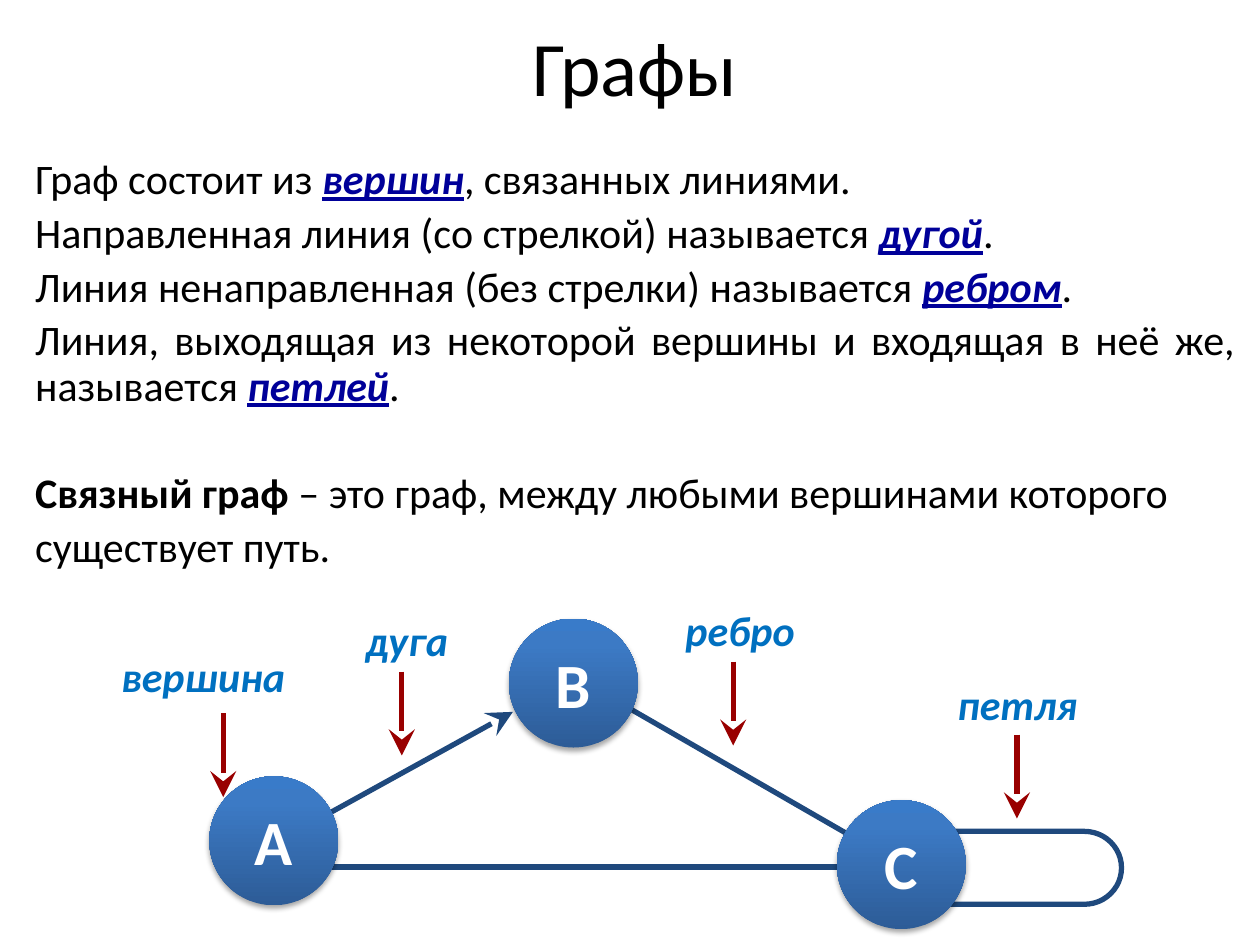
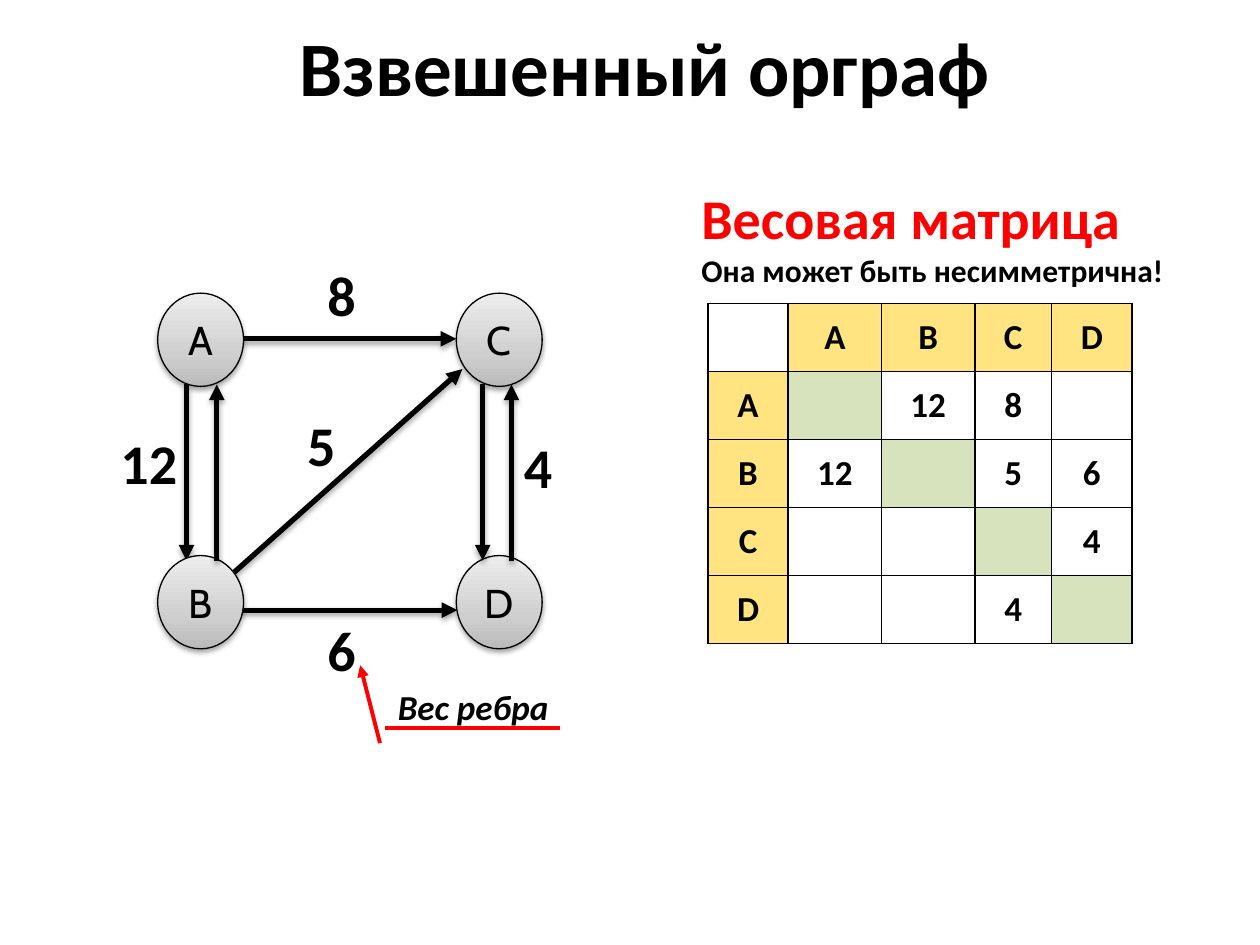
from itertools import product
from typing import NamedTuple

from lxml.etree import SubElement
from pptx import Presentation
from pptx.dml.color import RGBColor
from pptx.enum.shapes import MSO_CONNECTOR, MSO_SHAPE
from pptx.enum.text import MSO_ANCHOR, PP_ALIGN
from pptx.oxml.ns import qn
from pptx.util import Cm, Pt

BLACK, WHITE, RED = "000000", "FFFFFF", "FF0000"
NAVY, TERM_BLUE, LABEL_BLUE, DARK_RED = "1F497D", "000099", "0070C0", "990000"
HEADER_YELLOW, DIAGONAL_GREEN = "FFE481", "D6E3BC"
FONT = "Calibri"


class TextStyle(NamedTuple):
    size: float
    color: str = BLACK
    bold: bool = False
    italic: bool = False
    name: str = FONT


class Box(NamedTuple):
    left: float
    top: float
    width: float
    height: float


class Line(NamedTuple):
    x1: float
    y1: float
    x2: float
    y2: float


class Stroke(NamedTuple):
    color: str
    width: float = 3
    head: str = ""
    head_size: str = "med"
    shadow: bool = False


class NodeStyle(NamedTuple):
    width: float
    height: float
    stops: tuple
    text: TextStyle
    outline: str = ""


class Definition(NamedTuple):
    lead: str
    term: str
    tail: str


class Callout(NamedTuple):
    text: str
    left: float
    top: float
    width: float
    arrow_x: float
    arrow_top: float


LABEL = TextStyle(24, LABEL_BLUE, bold=True, italic=True)
WEIGHT = TextStyle(32, bold=True)
CELL = TextStyle(20, bold=True)
BLUE_NODE = NodeStyle(2.6, 2.6, ((0, "2D5C97"), (80, "3C7AC5"), (100, "397BC9")),
                      TextStyle(36, WHITE, bold=True))
GREY_NODE = NodeStyle(1.73, 1.88, ((0, "BABABA"), (35, "CFCFCF"), (100, "EDEDED")),
                      TextStyle(23, name="Cabin"), BLACK)

EDGE = Stroke(NAVY)
ARC = Stroke(NAVY, head="stealth", head_size="lg")
POINTER = Stroke(DARK_RED, head="stealth", head_size="lg")
WEIGHTED_ARC = Stroke(BLACK, head="triangle", shadow=True)
POINTER_LENGTH = 1.69

DEFINITIONS = [
    Definition("Граф состоит из ", "вершин", ", связанных линиями."),
    Definition("Направленная линия (со стрелкой) называется ", "дугой", "."),
    Definition("Линия ненаправленная (без стрелки) называется ", "ребром", "."),
    Definition("Линия, выходящая из некоторой вершины и входящая в неё же, называется ",
               "петлей", "."),
]
CALLOUTS = [
    Callout("петля", 18.39, 13.56, 4.24, 20.5, 14.81),
    Callout("ребро", 12.8, 12.07, 4.24, 14.78, 13.34),
    Callout("дуга", 6.3, 12.27, 3.81, 8.1, 13.54),
    Callout("вершина", 1.9, 12.98, 4.39, 4.5, 14.38),
]
MATRIX_NAMES = "ABCD"
MATRIX = {"AB": 12, "AC": 8, "BA": 12, "BC": 5, "BD": 6, "CD": 4, "DC": 4}


def rgb(color: str) -> RGBColor:
    return RGBColor.from_string(color)


def lengths(values: tuple) -> list:
    return [Cm(value) for value in values]


def style_font(font, style: TextStyle) -> None:
    font.name, font.size = style.name, Pt(style.size)
    font.bold, font.italic = style.bold, style.italic
    font.color.rgb = rgb(style.color)


def write(paragraph, text: str, style: TextStyle, align=PP_ALIGN.LEFT) -> None:
    paragraph.alignment = align
    style_font(paragraph.font, style)
    if text:
        paragraph.add_run().text = text


def add_text_frame(slide, box: Box, anchor=MSO_ANCHOR.TOP):
    frame = slide.shapes.add_textbox(*lengths(box)).text_frame
    frame.word_wrap = True
    frame.vertical_anchor = anchor
    return frame


def add_text(slide, box: Box, text: str, style: TextStyle, align=PP_ALIGN.LEFT) -> None:
    write(add_text_frame(slide, box).paragraphs[0], text, style, align)


def add_title(slide, text: str, center: float, bold: bool = False) -> None:
    width = 22.8
    frame = add_text_frame(slide, Box(center - width / 2, 0.24, width, 2.18), MSO_ANCHOR.MIDDLE)
    write(frame.paragraphs[0], text, TextStyle(44, bold=bold), PP_ALIGN.CENTER)


def add_soft_shadow(effects) -> None:
    """Fill an effect list with a soft shadow that falls straight down."""
    shadow = SubElement(effects, qn("a:outerShdw"), blurRad=str(Pt(3.1)), dist=str(Pt(1.8)),
                        dir="5400000", rotWithShape="0")
    color = SubElement(shadow, qn("a:srgbClr"), val=BLACK)
    SubElement(color, qn("a:alpha"), val="35000")


def add_line(slide, line: Line, stroke: Stroke) -> None:
    connector = slide.shapes.add_connector(MSO_CONNECTOR.STRAIGHT, *lengths(line))
    connector.line.color.rgb = rgb(stroke.color)
    connector.line.width = Pt(stroke.width)
    properties = connector.element.spPr
    if stroke.head:
        SubElement(properties.find(qn("a:ln")), qn("a:tailEnd"), type=stroke.head,
                   w=stroke.head_size, len=stroke.head_size)
    effects = SubElement(properties, qn("a:effectLst"))
    if stroke.shadow:
        add_soft_shadow(effects)


def add_node(slide, name: str, left: float, top: float, style: NodeStyle) -> None:
    shape = slide.shapes.add_shape(
        MSO_SHAPE.OVAL, *lengths((left, top, style.width, style.height)))
    shape.fill.gradient()
    shape.fill.gradient_angle = 90
    properties = shape.element.spPr
    stops = properties.find(qn("a:gradFill")).find(qn("a:gsLst"))
    stops.clear()
    for position, color in style.stops:
        stop = SubElement(stops, qn("a:gs"), pos=str(position * 1000))
        SubElement(stop, qn("a:srgbClr"), val=color)
    if style.outline:
        shape.line.color.rgb = rgb(style.outline)
        shape.line.width = Pt(0.75)
    else:
        shape.line.fill.background()
    shape.shadow.inherit = False
    add_soft_shadow(properties.find(qn("a:effectLst")))
    shape.text_frame.vertical_anchor = MSO_ANCHOR.MIDDLE
    write(shape.text_frame.paragraphs[0], name, style.text, PP_ALIGN.CENTER)


def add_definitions(slide) -> None:
    frame = add_text_frame(slide, Box(0.46, 3.07, 24.69, 7.44))
    body = TextStyle(24)

    def next_paragraph(text: str, space_before: float = 4.8):
        first = not frame.paragraphs[0].runs
        paragraph = frame.paragraphs[0] if first else frame.add_paragraph()
        paragraph.line_spacing = 0.9
        if not first:
            paragraph.space_before = Pt(space_before)
        write(paragraph, text, body, PP_ALIGN.JUSTIFY)
        return paragraph

    for definition in DEFINITIONS:
        paragraph = next_paragraph(definition.lead)
        term = paragraph.add_run()
        term.text = definition.term
        style_font(term.font, TextStyle(24, TERM_BLUE, bold=True, italic=True))
        term.font.underline = True
        paragraph.add_run().text = definition.tail
    connected = next_paragraph("Связный граф ", space_before=35.4)
    connected.runs[0].font.bold = True
    connected.add_run().text = "– это граф, между любыми вершинами которого"
    next_paragraph("существует путь.")


def add_loop(slide) -> None:
    loop = slide.shapes.add_shape(MSO_SHAPE.FLOWCHART_TERMINATOR,
                                  *lengths((17.96, 16.76, 4.65, 1.47)))
    loop.fill.background()
    loop.line.color.rgb = rgb(NAVY)
    loop.line.width = Pt(3)
    loop.shadow.inherit = False


def build_graph_slide(slide) -> None:
    add_title(slide, "Графы", 12.8)
    add_definitions(slide)
    add_loop(slide)
    add_line(slide, Line(12.67, 14.27, 17.48, 17.04), EDGE)
    add_line(slide, Line(6.07, 17.48, 17.07, 17.48), EDGE)
    add_line(slide, Line(6.48, 16.48, 10.34, 14.35), ARC)
    for name, left, top in (("А", 4.22, 15.65), ("В", 10.26, 12.47), ("С", 16.87, 16.13)):
        add_node(slide, name, left, top, BLUE_NODE)
    for callout in CALLOUTS:
        add_text(slide, Box(callout.left, callout.top, callout.width, 1.28),
                 callout.text, LABEL, PP_ALIGN.CENTER)
        x, top = callout.arrow_x, callout.arrow_top
        add_line(slide, Line(x, top, x, top + POINTER_LENGTH), POINTER)


def add_weighted_graph(slide) -> None:
    upper, lower = 7.75, 11.3
    for line in (Line(3.96, 12.3, 9.22, 12.3), Line(3.94, 6.83, 9.2, 6.83),
                 Line(3.76, upper, 3.76, lower), Line(4.01, 12.17, 9.32, 7.44)):
        add_line(slide, line, WEIGHTED_ARC)
    for name, (left, top) in zip(MATRIX_NAMES, product((3.18, 9.2), (5.91, 11.2))):
        add_node(slide, name, left, top, GREY_NODE)
    for line in (Line(4.37, lower, 4.37, upper), Line(9.73, upper, 9.73, lower),
                 Line(10.31, lower, 10.31, upper)):
        add_line(slide, line, WEIGHTED_ARC)
    for weight, left, top in (("12", 2.18, 8.51), ("8", 6.35, 5.13), ("4", 10.31, 8.59),
                              ("6", 6.35, 12.29), ("5", 5.94, 8.15)):
        add_text(slide, Box(left, top, 1.8, 1.63), weight, WEIGHT)


def style_cell(cell, text: str, fill: str) -> None:
    cell.vertical_anchor = MSO_ANCHOR.MIDDLE
    cell.margin_left = cell.margin_right = Cm(0.18)
    cell.margin_top = cell.margin_bottom = 0
    write(cell.text_frame.paragraphs[0], text, CELL, PP_ALIGN.CENTER)
    properties = cell._tc.get_or_add_tcPr()
    for side in ("lnL", "lnR", "lnT", "lnB"):
        border = SubElement(properties, qn(f"a:{side}"), w=str(Pt(1)))
        SubElement(SubElement(border, qn("a:solidFill")), qn("a:srgbClr"), val=BLACK)
    cell.fill.solid()
    cell.fill.fore_color.rgb = rgb(fill)


def add_weight_matrix(slide) -> None:
    column_widths = (1.62, 1.88, 1.88, 1.55, 1.62)
    row_height, count = 1.37, len(column_widths)
    table = slide.shapes.add_table(
        count, count, *lengths((14.27, 6.12, sum(column_widths), row_height * count))).table
    table.first_row = table.horz_banding = False
    for column, width in zip(table.columns, column_widths):
        column.width = Cm(width)
    for row in table.rows:
        row.height = Cm(row_height)
    names = ["", *MATRIX_NAMES]
    for (row, source), (column, target) in product(enumerate(names), repeat=2):
        if source and target:
            text = str(MATRIX.get(source + target, ""))
            fill = DIAGONAL_GREEN if source == target else WHITE
        else:
            text = source + target
            fill = HEADER_YELLOW if text else WHITE
        style_cell(table.cell(row, column), text, fill)


def build_weighted_slide(slide) -> None:
    add_title(slide, "Взвешенный орграф", 13, bold=True)
    heading = add_text_frame(slide, Box(13.89, 3.58, 10.72, 2.95))
    write(heading.paragraphs[0], "Весовая матрица", TextStyle(32, RED, bold=True))
    write(heading.add_paragraph(), "Она может быть несимметрична!", TextStyle(18, bold=True))
    add_text(slide, Box(7.77, 13.69, 4, 1.12), "Вес ребра", TextStyle(20, bold=True, italic=True))
    add_line(slide, Line(7.66, 14.98, 7.26, 13.41), Stroke(RED, 2.25, "triangle"))
    add_line(slide, Line(7.77, 14.68, 11.28, 14.68), Stroke(RED, 2.25))
    add_weighted_graph(slide)
    add_weight_matrix(slide)


def main() -> None:
    presentation = Presentation()
    presentation.slide_width, presentation.slide_height = Cm(25.4), Cm(19.05)
    blank = presentation.slide_layouts[6]
    for build in (build_graph_slide, build_weighted_slide):
        build(presentation.slides.add_slide(blank))
    presentation.save("out.pptx")


if __name__ == "__main__":
    main()
